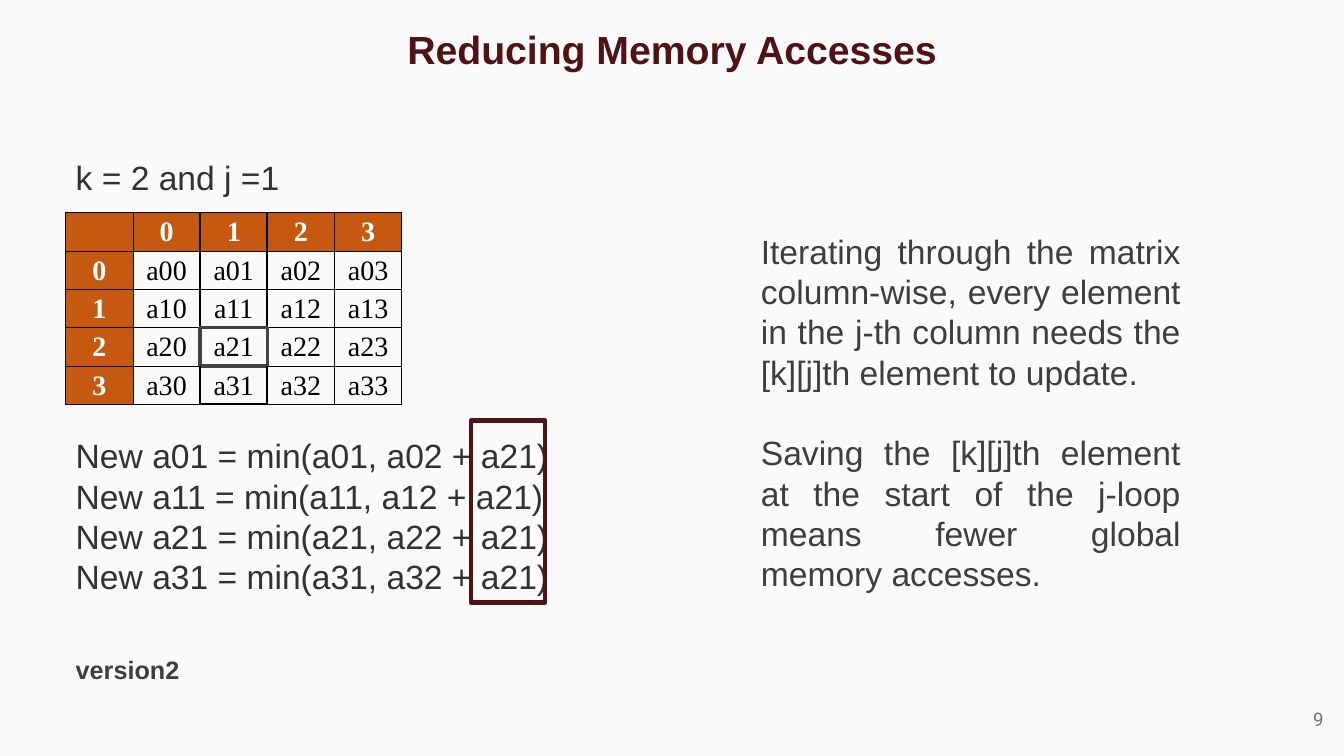
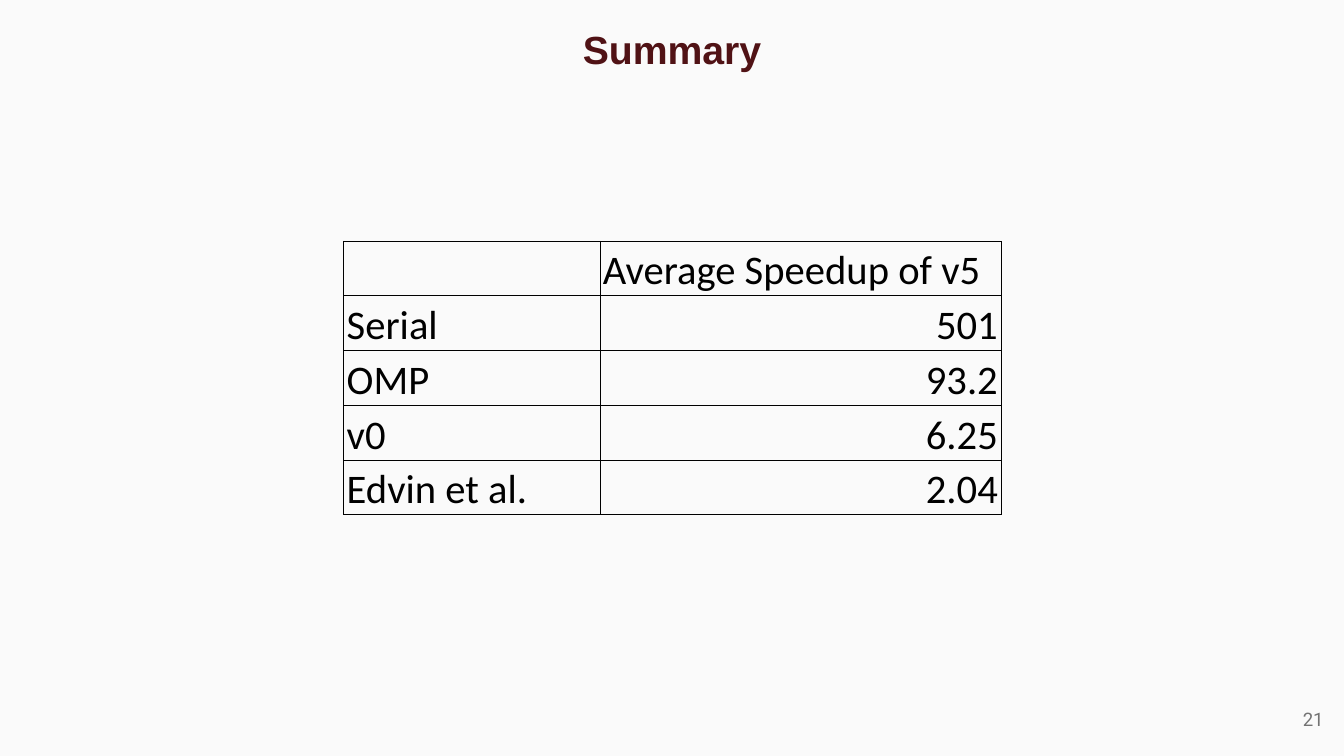
from lxml.etree import SubElement
from pptx import Presentation
from pptx.dml.color import RGBColor as Rgb
from pptx.enum.shapes import MSO_SHAPE as Shape
from pptx.enum.text import MSO_ANCHOR as Anchor, PP_ALIGN as Align
from pptx.oxml.ns import qn
from pptx.util import Pt

WIDE, HIGH = 960, 540
PAPER, MAROON, ORANGE = "FAFAFA", "501215", "C65911"
BLACK, WHITE = "000000", "FFFFFF"
INK, SOFT, FRAME, PALE = "323232", "3E3E3E", "424242", "737373"
SIDES = "LRTB"
THIN = (BLACK, 0.5)


def tint(code):
    return Rgb.from_string(code)


def points(box):
    return [Pt(v) for v in box]


def style(para, face, size, color, bold=False, align=Align.LEFT):
    para.alignment = align
    font = para.font
    font.name, font.size, font.bold = face, Pt(size), bold
    font.color.rgb = tint(color)


def write(slide, box, lines, size, color, face="Arial", bold=False,
          align=Align.LEFT, anchor=Anchor.TOP, pad=3.6, pitch=None, gap=0):
    frame = slide.shapes.add_textbox(*points(box)).text_frame
    frame.word_wrap = True
    frame.vertical_anchor = anchor
    frame.margin_top = frame.margin_bottom = Pt(pad)
    for i, line in enumerate(lines):
        para = frame.add_paragraph() if i else frame.paragraphs[0]
        para.text = line
        style(para, face, size, color, bold, align)
        if pitch:
            para.line_spacing = Pt(pitch)
        if i and gap:
            para.space_before = Pt(gap)


def body(slide, box, lines, color, align=Align.JUSTIFY, gap=0):
    write(slide, box, lines, 24, color, align=align, pitch=28.8, gap=gap)


def start(deck, title, number):
    slide = deck.slides.add_slide(deck.slide_layouts[6])
    fill = slide.background.fill
    fill.solid()
    fill.fore_color.rgb = tint(PAPER)
    write(slide, (121, 0, 718, 70), [title], 28, MAROON, bold=True,
          align=Align.CENTER, anchor=Anchor.MIDDLE)
    write(slide, (895, 493, 57.6, 41), [str(number)], 13.3, PALE, "Roboto",
          align=Align.RIGHT, anchor=Anchor.MIDDLE, pad=7.2)
    return slide


def border(cell, lines):
    props = cell._tc.get_or_add_tcPr()
    for i, (side, (color, width)) in enumerate(zip(SIDES, lines)):
        line = SubElement(props, qn("a:ln" + side), w=str(Pt(width)))
        fill = SubElement(line, qn("a:solidFill"))
        SubElement(fill, qn("a:srgbClr"), val=color)
        props.insert(i, line)


def edges(row, col):
    return [("v", row, col), ("v", row, col + 1),
            ("h", row, col), ("h", row + 1, col)]


def outline(rows, col, pen):
    marks = {}
    for row in rows:
        left, right, top, base = edges(row, col)
        marks[left] = marks[right] = pen
        if row == rows[0]:
            marks[top] = pen
        if row == rows[-1]:
            marks[base] = pen
    return marks


def grid(slide, box, data, widths, pad, anchor, paint, marks):
    table = slide.shapes.add_table(len(data), len(widths), *points(box)).table
    table.first_row = table.horz_banding = False
    for col, width in zip(table.columns, widths):
        col.width = Pt(width)
    for r, texts in enumerate(data):
        table.rows[r].height = Pt(box[3] / len(data))
        for c, text in enumerate(texts):
            cell = table.cell(r, c)
            cell.margin_left = cell.margin_right = cell.margin_top = Pt(pad)
            cell.margin_bottom = 0
            cell.vertical_anchor = anchor
            cell.text = text
            paint(cell, r, c)
            border(cell, [marks.get(edge, THIN) for edge in edges(r, c)])


def matrix(slide, box):
    span = range(4)
    data = [[""] + [str(c) for c in span]]
    data += [[str(r)] + [f"a{r}{c}" for c in span] for r in span]

    def paint(cell, row, col):
        head = row == 0 or col == 0
        if head:
            cell.fill.solid()
            cell.fill.fore_color.rgb = tint(ORANGE)
        else:
            cell.fill.background()
        style(cell.text_frame.paragraphs[0], "Times New Roman", 20,
              WHITE if head else BLACK, head, Align.CENTER)

    marks = outline(range(5), 2, (BLACK, 1.5))
    marks.update(outline([3], 2, (FRAME, 3)))
    grid(slide, box, data, [box[2] / 5] * 5, 0.72, Anchor.MIDDLE, paint, marks)


def speeds(slide, box):
    data = [("", "Average Speedup of v5"), ("Serial", "501"), ("OMP", "93.2"),
            ("v0", "6.25"), ("Edvin et al.", "2.04")]

    def paint(cell, row, col):
        cell.fill.background()
        style(cell.text_frame.paragraphs[0], "Calibri", 29, BLACK,
              align=Align.RIGHT if row and col else Align.LEFT)

    first = 183
    grid(slide, box, data, [first, box[2] - first], 2.16, Anchor.BOTTOM,
         paint, {})


def updates(slide, box):
    left, top, width, height = box
    lines = [f"New a{r}1 = min(a{r}1, a{r}2 + a21)" for r in range(4)]
    body(slide, box, lines, INK)
    spot = (left + 289.5, top - 7, 53, height + 6)
    frame = slide.shapes.add_shape(Shape.RECTANGLE, *points(spot))
    frame.shadow.inherit = False
    frame.fill.background()
    frame.line.color.rgb = tint(MAROON)
    frame.line.width = Pt(3)


def memory(deck):
    slide = start(deck, "Reducing Memory Accesses", 9)
    left = 47
    body(slide, (left, 108.7, 250, 36), ["k = 2 and j =1"], INK, Align.LEFT)
    matrix(slide, (left, 151.8, 240, 137))
    updates(slide, (left, 307.4, 353.5, 124))
    write(slide, (left, 463.7, 289, 29), ["version2"], 18, SOFT, bold=True)
    body(slide, (536.4, 161.3, 314, 269), [
        "Iterating through the matrix column-wise, every element in the "
        "j-th column needs the [k][j]th element to update.",
        "Saving the [k][j]th element at the start of the j-loop means "
        "fewer global memory accesses."], SOFT, gap=28.8)


def summary(deck):
    slide = start(deck, "Summary", 21)
    speeds(slide, (245.5, 172.2, 469.5, 195.5))


def main():
    deck = Presentation()
    deck.slide_width, deck.slide_height = Pt(WIDE), Pt(HIGH)
    memory(deck)
    summary(deck)
    deck.save("out.pptx")


if __name__ == "__main__":
    main()
